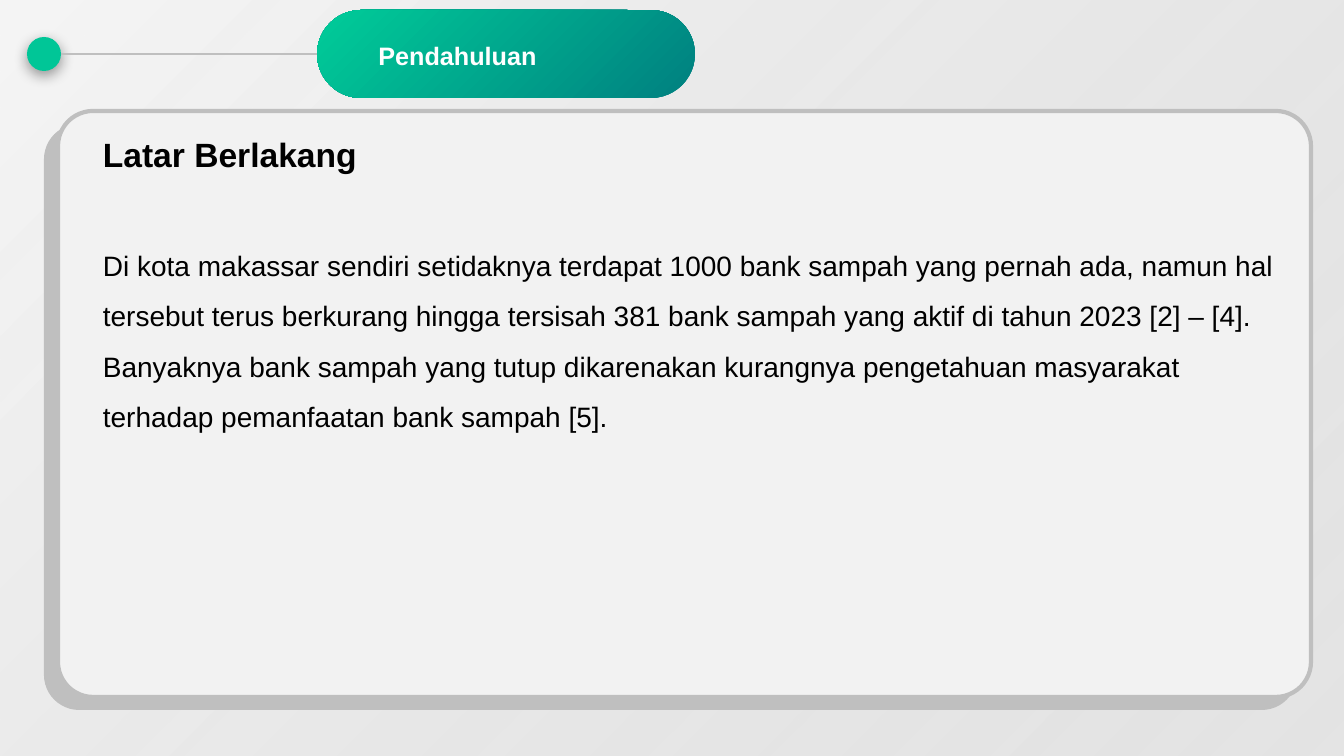
from lxml.etree import SubElement
from pptx import Presentation
from pptx.dml.color import RGBColor
from pptx.enum.shapes import MSO_CONNECTOR, MSO_SHAPE
from pptx.enum.text import MSO_AUTO_SIZE, PP_ALIGN
from pptx.oxml.ns import qn
from pptx.util import Pt

SCALE = 12192000 / 1344
COLORS = {"green": "00C697", "mint": "00CC99", "teal": "008080", "gray": "BFBFBF",
          "pale": "F2F2F2", "white": "FFFFFF", "black": "000000"}


def px(size):
    return round(size * SCALE)


def rgb(name):
    return RGBColor.from_string(COLORS[name])


class Deck:
    """Draws styled elements on the current slide."""

    font = "Arial"

    def __init__(self, width, height):
        self.file = Presentation()
        self.file.slide_width, self.file.slide_height = px(width), px(height)
        self.slide = self.file.slides.add_slide(self.file.slide_layouts[6])

    def shape(self, kind, box, fill=None, line=None, round_by=None):
        item = self.slide.shapes.add_shape(kind, *map(px, box))
        item.shadow.inherit = False
        if round_by is not None:
            item.adjustments[0] = round_by
        if fill:
            item.fill.solid()
            item.fill.fore_color.rgb = rgb(fill)
        if line:
            item.line.color.rgb = rgb(line)
            item.line.width = Pt(3)
        else:
            item.line.fill.background()
        return item

    def blend(self, item, *stops):
        item.fill.gradient()
        item.fill.gradient_angle = 135
        for stop, (name, alpha) in zip(item.fill.gradient_stops, stops):
            stop.color.rgb = rgb(name)
        nodes = item.element.spPr.iter(qn("a:srgbClr"))
        for node, (name, alpha) in zip(nodes, stops):
            if alpha < 100:
                SubElement(node, qn("a:alpha"), val=str(alpha * 1000))

    def shade(self, item):
        effect = item.element.spPr.find(qn("a:effectLst"))
        outer = SubElement(effect, qn("a:outerShdw"), blurRad=str(Pt(10)), dist=str(Pt(3)),
                           dir="5400000", algn="t", rotWithShape="0")
        color = SubElement(outer, qn("a:srgbClr"), val=COLORS["black"])
        SubElement(color, qn("a:alpha"), val="40000")

    def link(self, start, target):
        line = self.slide.shapes.add_connector(MSO_CONNECTOR.STRAIGHT, *map(px, start + start))
        line.end_connect(target, 1)
        line.line.color.rgb = rgb("gray")
        line.line.width = Pt(2)
        SubElement(line.element.spPr, qn("a:effectLst"))

    def text(self, box, *parts):
        frame = self.slide.shapes.add_textbox(*map(px, box)).text_frame
        frame.word_wrap = True
        frame.auto_size = MSO_AUTO_SIZE.SHAPE_TO_FIT_TEXT
        frame.text = "\n".join(part[0] for part in parts)
        for para, (words, size, color, bold) in zip(frame.paragraphs, parts):
            font = para.runs[0].font
            font.name, font.size, font.bold = self.font, Pt(size), bold
            font.color.rgb = rgb(color)
        return frame.paragraphs


def main():
    deck = Deck(1344, 756)
    back = deck.shape(MSO_SHAPE.RECTANGLE, (0, 0, 1344, 756))
    deck.blend(back, ("gray", 41), ("pale", 75))

    pill = deck.shape(MSO_SHAPE.ROUNDED_RECTANGLE, (317, 10, 378, 88), round_by=0.5)
    deck.blend(pill, ("teal", 100), ("mint", 100))
    dot = deck.shape(MSO_SHAPE.OVAL, (27, 37, 34, 34), "green")
    deck.shade(dot)
    deck.link((61, 54), pill)

    for left, top, fill, line in ((44, 124, "gray", None), (58, 111, "pale", "gray")):
        deck.shape(MSO_SHAPE.ROUNDED_RECTANGLE, (left, top, 1253, 586), fill, line, 0.06)

    title = deck.text((317, 35, 281, 40), ("Pendahuluan", 18, "white", True))
    title[0].alignment = PP_ALIGN.CENTER

    body = ("Di kota makassar sendiri setidaknya terdapat 1000 bank sampah yang pernah ada, "
            "namun hal tersebut terus berkurang hingga tersisah 381 bank sampah yang aktif "
            "di tahun 2023 [2] – [4]. Banyaknya bank sampah yang tutup dikarenakan kurangnya "
            "pengetahuan masyarakat terhadap pemanfaatan bank sampah [5].")
    paras = deck.text((93, 129, 1193, 367), ("Latar Berlakang", 24, "black", True),
                      (body, 20, "black", False))
    paras[1].space_before = Pt(41)
    paras[1].line_spacing = 1.5

    deck.file.save("out.pptx")


if __name__ == "__main__":
    main()
